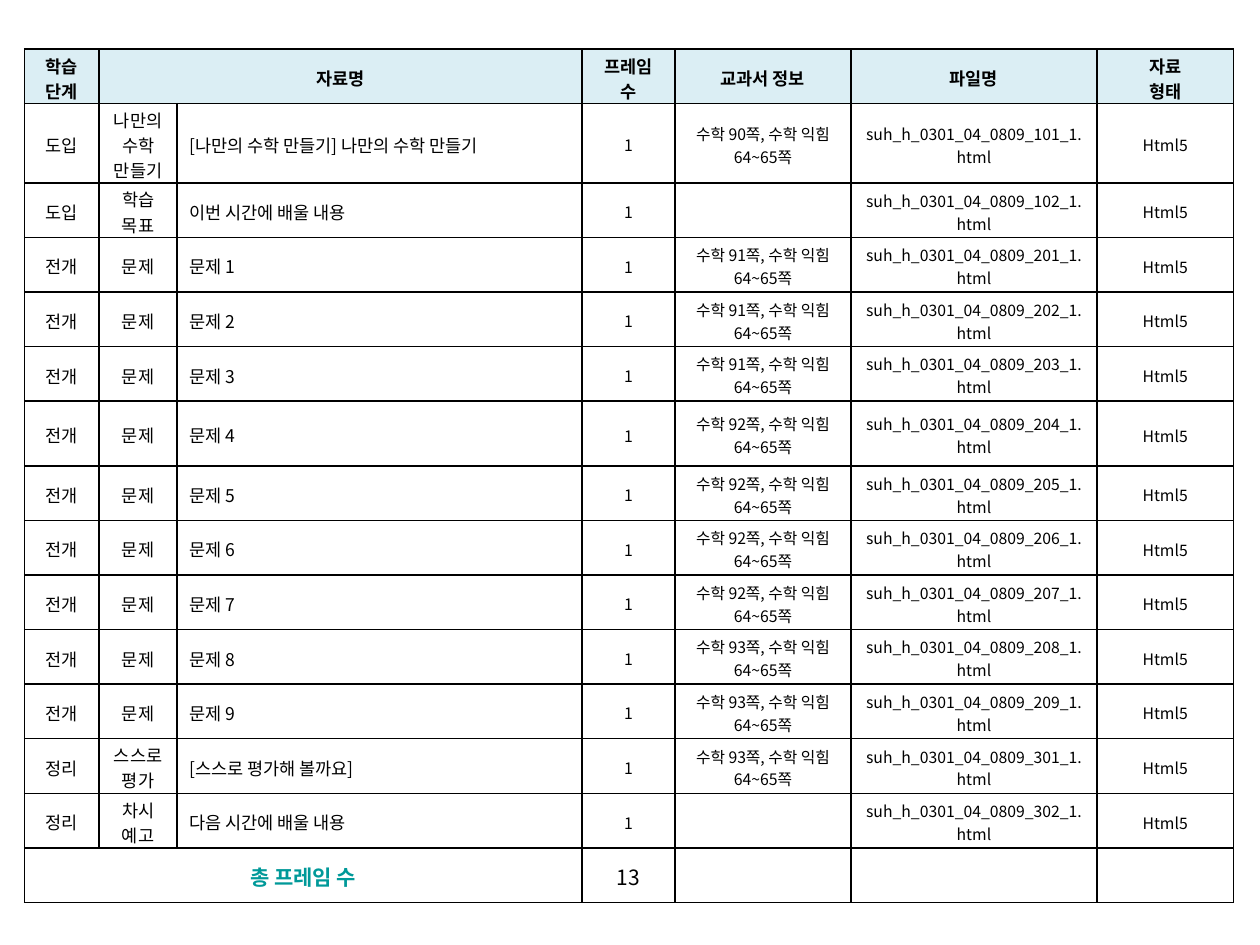
from dataclasses import dataclass
from typing import Optional

from lxml.etree import SubElement
from pptx import Presentation
from pptx.dml.color import RGBColor
from pptx.enum.text import MSO_ANCHOR, PP_ALIGN
from pptx.oxml.ns import qn
from pptx.util import Pt


@dataclass(frozen=True)
class Theme:
    font: str = "Noto Sans CJK KR"
    text: str = "000000"
    accent: str = "009999"
    header_fill: str = "DBEEF4"
    border: str = "000000"
    border_width: float = 1
    body_size: float = 10
    detail_size: float = 9
    total_size: float = 12


@dataclass(frozen=True)
class Style:
    size: float
    color: str
    bold: bool = False
    align: PP_ALIGN = PP_ALIGN.CENTER


@dataclass(frozen=True)
class Lesson:
    stage: str
    activity: str
    title: str
    file_number: int
    page: Optional[int] = None

    def values(self) -> list[str]:
        textbook = f"수학 {self.page}쪽, 수학 익힘 64~65쪽" if self.page else ""
        file_name = f"suh_h_0301_04_0809_{self.file_number}_1.html"
        return [self.stage, self.activity, self.title, "1", textbook, file_name, "Html5"]


THEME = Theme()
HEADING = Style(THEME.body_size, THEME.text, bold=True)
BODY = Style(THEME.body_size, THEME.text)
TITLE = Style(THEME.body_size, THEME.text, align=PP_ALIGN.LEFT)
DETAIL = Style(THEME.detail_size, THEME.text)
TOTAL_LABEL = Style(THEME.total_size, THEME.accent, bold=True)
TOTAL_COUNT = Style(THEME.total_size, THEME.text)

COLUMN_STYLES = [BODY, BODY, TITLE, DETAIL, DETAIL, DETAIL, DETAIL]
COLUMN_WIDTHS = [42.5, 44.6, 231.4, 53.1, 100.6, 140.6, 78]
HEADINGS = ["학습 단계", "자료명", "", "프레임 수", "교과서 정보", "파일명", "자료\n형태"]
ROW_HEIGHT = 31.2
SPECIAL_HEIGHTS = {1: 43.2, 6: 37}

PROBLEM_PAGES = [91] * 3 + [92] * 4 + [93] * 2
LESSONS = [
    Lesson("도입", "나만의 수학 만들기", "[나만의 수학 만들기] 나만의 수학 만들기", 101, 90),
    Lesson("도입", "학습 목표", "이번 시간에 배울 내용", 102),
    *(Lesson("전개", "문제", f"문제 {number}", 200 + number, page)
      for number, page in enumerate(PROBLEM_PAGES, 1)),
    Lesson("정리", "스스로 평가", "[스스로 평가해 볼까요]", 301, 93),
    Lesson("정리", "차시 예고", "다음 시간에 배울 내용", 302),
]


def add_borders(cell) -> None:
    properties = cell._tc.get_or_add_tcPr()
    for side in ("lnL", "lnR", "lnT", "lnB"):
        line = SubElement(properties, qn(f"a:{side}"), w=str(Pt(THEME.border_width)))
        fill = SubElement(line, qn("a:solidFill"))
        SubElement(fill, qn("a:srgbClr"), val=THEME.border)


def write_cell(cell, text: str, style: Style) -> None:
    """Write one paragraph for each line of the text."""
    if not text:
        return
    for index, line in enumerate(text.split("\n")):
        frame = cell.text_frame
        para = frame.add_paragraph() if index else frame.paragraphs[0]
        para.alignment = style.align
        span = para.add_run()
        span.text = line
        span.font.name = THEME.font
        span.font.size = Pt(style.size)
        span.font.bold = style.bold
        span.font.color.rgb = RGBColor.from_string(style.color)
        SubElement(span.font._element, qn("a:ea"), typeface=THEME.font)


def format_cell(cell, is_header: bool) -> None:
    cell.vertical_anchor = MSO_ANCHOR.MIDDLE
    cell.margin_left = cell.margin_right = Pt(7.2)
    cell.margin_top, cell.margin_bottom = Pt(2), Pt(0)
    add_borders(cell)
    if is_header:
        cell.fill.solid()
        cell.fill.fore_color.rgb = RGBColor.from_string(THEME.header_fill)
    else:
        cell.fill.background()


def add_lesson_table(page) -> None:
    row_count = len(LESSONS) + 2
    heights = [SPECIAL_HEIGHTS.get(row, ROW_HEIGHT) for row in range(row_count)]
    table = page.shapes.add_table(
        row_count, len(COLUMN_WIDTHS), Pt(14.1), Pt(28.1),
        Pt(sum(COLUMN_WIDTHS)), Pt(sum(heights))).table
    table.first_row = table.horz_banding = False
    for column, width in zip(table.columns, COLUMN_WIDTHS):
        column.width = Pt(width)
    for row, height in zip(table.rows, heights):
        row.height = Pt(height)

    last = row_count - 1
    table.cell(0, 1).merge(table.cell(0, 2))
    table.cell(last, 0).merge(table.cell(last, 2))
    for row_index, row in enumerate(table.rows):
        for cell in row.cells:
            format_cell(cell, is_header=row_index == 0)

    for column, heading in enumerate(HEADINGS):
        write_cell(table.cell(0, column), heading, HEADING)
    for row_index, lesson in enumerate(LESSONS, 1):
        for column, text in enumerate(lesson.values()):
            write_cell(table.cell(row_index, column), text, COLUMN_STYLES[column])
    write_cell(table.cell(last, 0), "총 프레임 수", TOTAL_LABEL)
    write_cell(table.cell(last, 3), str(len(LESSONS)), TOTAL_COUNT)


def main() -> None:
    deck = Presentation()
    deck.slide_width, deck.slide_height = Pt(720), Pt(540)
    page = deck.slides.add_slide(deck.slide_layouts[6])
    add_lesson_table(page)
    deck.save("out.pptx")


if __name__ == "__main__":
    main()
